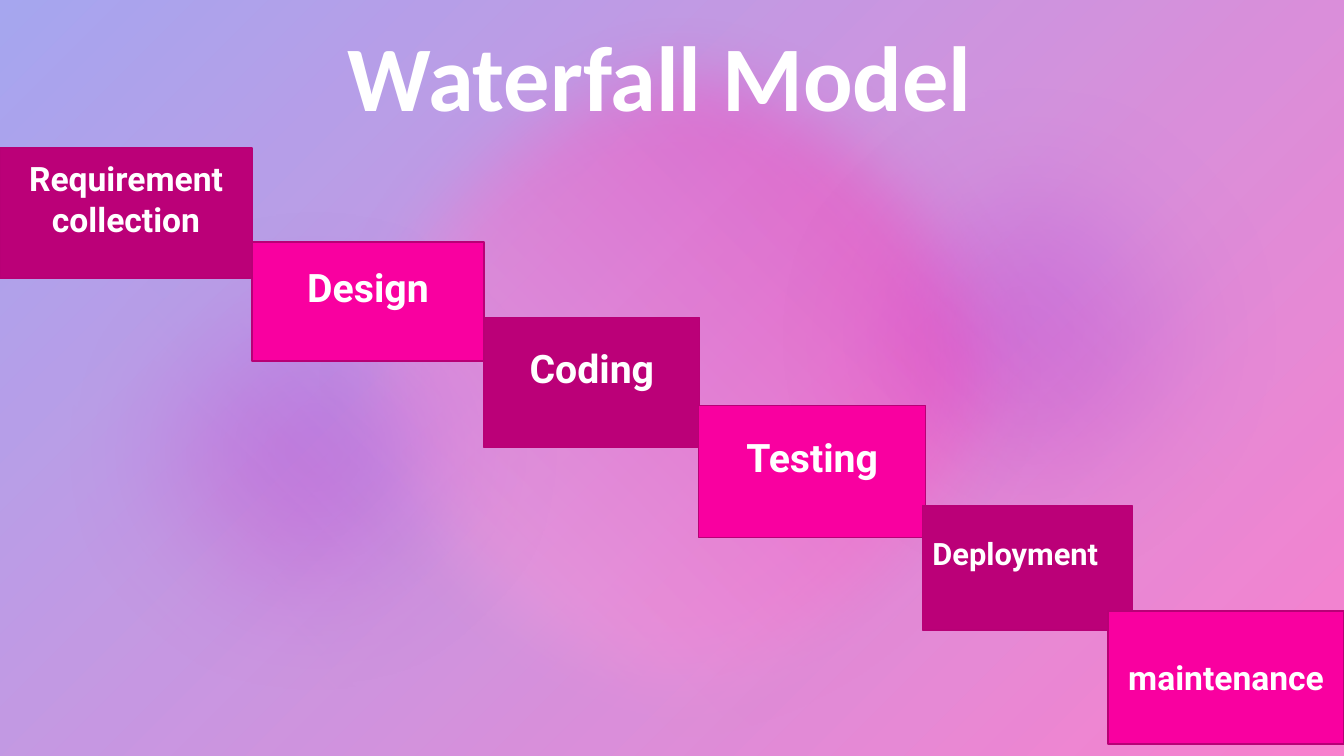
"""Build the Waterfall Model slide: six descending steps on a soft gradient."""
from lxml import etree
from pptx import Presentation
from pptx.dml.color import RGBColor
from pptx.enum import shapes, text
from pptx.oxml import ns
from pptx.util import Inches, Pt


def paint(color_format, value, opacity=100):
    color_format.rgb = RGBColor.from_string(value)


def add_backdrop(page, kind, area, stops):
    """Add an unlined shape filled with one or two (colour, opacity) stops."""
    shape = page.shapes.add_shape(kind, *[Inches(length) for length in area])
    shape.shadow.inherit = False
    shape.line.fill.background()
    if len(stops) == 1:
        shape.fill.solid()
        colors = [shape.fill.fore_color]
    else:
        shape.fill.gradient()
        shape.fill.gradient_angle = 315
        colors = [stop.color for stop in shape.fill.gradient_stops]
    for color, (value, opacity) in zip(colors, stops):
        paint(color, value)
    for node, (value, opacity) in zip(shape._element.spPr.iter(ns.qn("a:srgbClr")), stops):
        if opacity < 100:
            etree.SubElement(node, ns.qn("a:alpha")).set("val", str(opacity * 1000))
    return shape


deck = Presentation()
deck.slide_width, deck.slide_height = Inches(13.33), Inches(7.5)
page = deck.slides.add_slide(deck.slide_layouts[5])
title = page.shapes.title

full_page = (0, 0, 13.33, 7.5)
layers = [
    [("FFFFFF", 100)],
    [("4D4EE6", 60), ("F900A0", 60)],
    [("EEEEEE", 20)],
]
for stops in layers:
    add_backdrop(page, shapes.MSO_SHAPE.RECTANGLE, full_page, stops)

glows = [
    ((3, 0, 7.5, 7.5), [("FFCBEC", 40), ("F900A0", 40)], 50),
    ((0.08, 1.31, 6.11, 6.28), [("F900A0", 40), ("7162FE", 20)], 100),
    ((7.04, 0.21, 6.3, 6.28), [("F900A0", 20), ("7162FE", 40)], 100),
]
for area, stops, softness in glows:
    glow = add_backdrop(page, shapes.MSO_SHAPE.OVAL, area, stops)
    glow.rotation = 270
    effects = glow._element.spPr.find(ns.qn("a:effectLst"))
    etree.SubElement(effects, ns.qn("a:softEdge")).set("rad", str(Pt(softness)))

page.shapes._spTree.append(title._element)
title.left, title.top = Inches(0.93), Inches(0.19)
title.width, title.height = Inches(11.23), Inches(1.16)
title.text_frame.text = "Waterfall Model"
title.text_frame.vertical_anchor = text.MSO_ANCHOR.BOTTOM
heading = title.text_frame.paragraphs[0]
heading.alignment = text.PP_ALIGN.CENTER
heading.line_spacing = 0.9
span = heading.runs[0]
span.font.name, span.font.size, span.font.bold = "Calibri", Pt(66), True
paint(span.font.color, "FFFFFF")

center, left = text.PP_ALIGN.CENTER, text.PP_ALIGN.LEFT
steps = [
    ("Requirement\ncollection", (0, 1.47, 2.5, 1.29), 24, center, 0.34),
    ("Design", (2.5, 2.4, 2.3, 1.18), 28, center, 0.34),
    ("Coding", (4.8, 3.15, 2.14, 1.29), 28, center, 0.34),
    ("Testing", (6.93, 4.02, 2.25, 1.31), 28, center, 0.34),
    ("Deployment", (9.15, 5.02, 2.08, 1.23), 22, left, 0.34),
    ("maintenance", (10.99, 6.06, 2.34, 1.32), 24, center, 0.05),
]
for index, (label, area, size, alignment, bottom) in enumerate(steps):
    box = page.shapes.add_shape(
        shapes.MSO_SHAPE.RECTANGLE, *[Inches(length) for length in area])
    box.shadow.inherit = False
    box.fill.solid()
    paint(box.fill.fore_color, ("BB0078", "F900A0")[index % 2])
    paint(box.line.color, "B80076")
    box.line.width = Pt(1)
    frame = box.text_frame
    frame.text = label
    frame.word_wrap = True
    frame.vertical_anchor = text.MSO_ANCHOR.MIDDLE
    frame.margin_bottom = Inches(bottom)
    for para in frame.paragraphs:
        para.alignment = alignment
        span = para.runs[0]
        span.font.name, span.font.size, span.font.bold = "Roboto", Pt(size), True
        paint(span.font.color, "FFFFFF")

deck.save("out.pptx")
